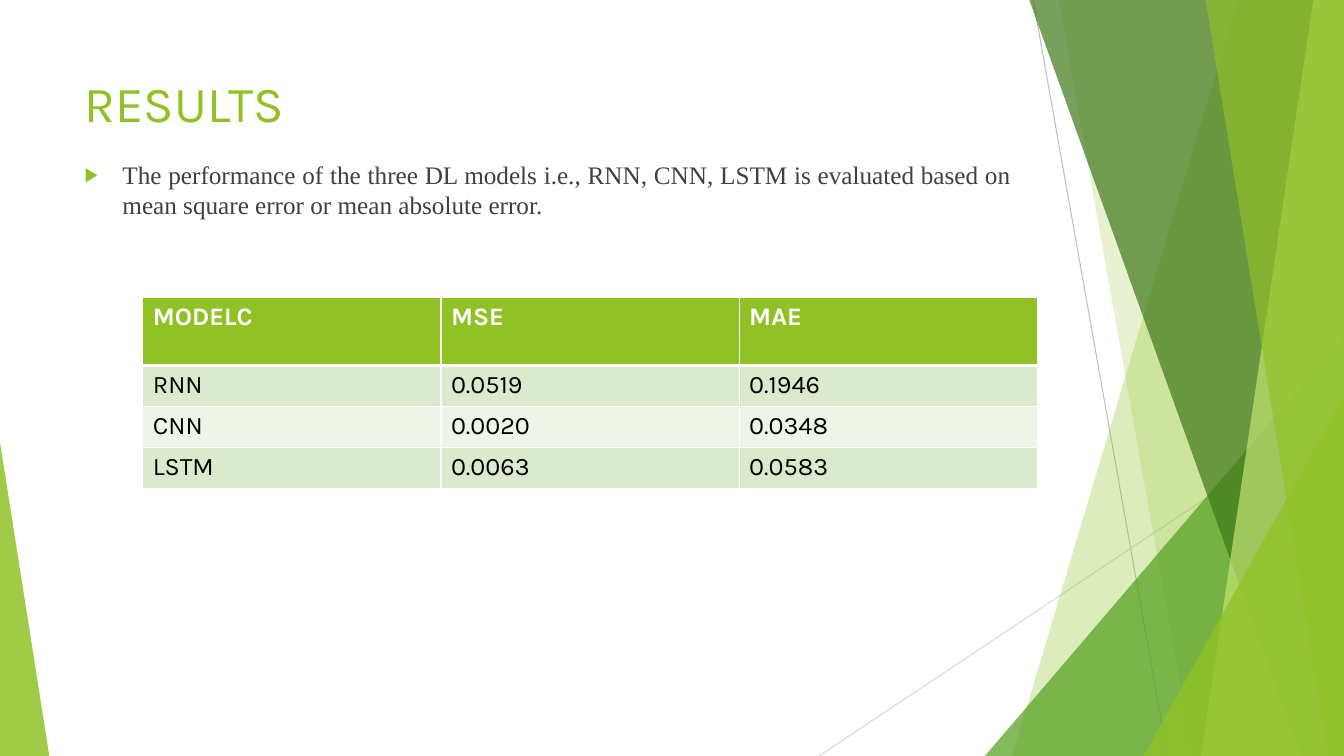
from dataclasses import dataclass

from lxml.etree import SubElement
from pptx import Presentation
from pptx.dml.color import RGBColor
from pptx.enum.shapes import MSO_CONNECTOR as Connector, MSO_SHAPE as Preset
from pptx.enum.text import MSO_ANCHOR as Anchor, MSO_AUTO_SIZE as AutoSize, PP_ALIGN as Align
from pptx.oxml.ns import qn
from pptx.shapes.base import BaseShape
from pptx.slide import Slide
from pptx.table import _Cell as Cell
from pptx.text.text import TextFrame
from pptx.util import Emu, Pt

PX = 9525
WIDTH, HEIGHT = 1280, 720
COLORS = {
    "lime": "90C226", "pale_lime": "C0E474", "green": "54A021", "forest": "3F7819",
    "white": "FFFFFF", "black": "000000", "text": "404040",
    "band_dark": "DBE9CD", "band_light": "EEF4E8",
    "line_dark": "BFBFBF", "line_light": "D9D9D9",
}


@dataclass(frozen=True)
class Ray:
    start: tuple[int, int]
    end: tuple[int, int]
    color: str


@dataclass(frozen=True)
class Panel:
    top_left: int
    bottom_left: int
    color: str
    opacity: int


@dataclass(frozen=True)
class Wedge:
    left: int
    top: int
    width: int
    apex: int
    color: str
    opacity: int


RAYS = [
    Ray((984, 0), (1112, HEIGHT), "line_dark"),
    Ray((WIDTH, 387), (780, HEIGHT), "line_light"),
]
FACETS = [
    Panel(1179, 964, "lime", 30),
    Panel(1008, 1136, "lime", 20),
    Wedge(938, 320, 342, 1, "green", 72),
    Panel(980, 1239, "forest", 70),
    Panel(1251, 1144, "pale_lime", 70),
    Panel(1148, 1265, "lime", 65),
    Wedge(1089, 377, 191, 1, "lime", 80),
    Wedge(0, 421, 47, 0, "lime", 85),
]
RESULTS = [
    ("MODELC", "MSE", "MAE"),
    ("RNN", "0.0519", "0.1946"),
    ("CNN", "0.0020", "0.0348"),
    ("LSTM", "0.0063", "0.0583"),
]
TABLE_LEFT, TABLE_TOP = 136, 283
COLUMN_WIDTH, HEADER_HEIGHT, ROW_HEIGHT = 284, 65, 39


def px(value: int) -> Emu:
    return Emu(value * PX)


def rgb(name: str) -> RGBColor:
    return RGBColor.from_string(COLORS[name])


def write(frame: TextFrame, text: str, *, size: int = 18, font: str = "Karla",
          color: str = "black", bold: bool = False, align: Align = Align.LEFT) -> None:
    paragraph = frame.paragraphs[0]
    paragraph.alignment = align
    run = paragraph.add_run()
    run.text = text
    run.font.size = Pt(size)
    run.font.name = font
    run.font.bold = bold
    run.font.color.rgb = rgb(color)


def paint(shape: BaseShape, color: str, opacity: int) -> None:
    shape.shadow.inherit = False
    shape.line.fill.background()
    shape.fill.solid()
    shape.fill.fore_color.rgb = rgb(color)
    fill_color = shape._element.spPr.find(f"{qn('a:solidFill')}/{qn('a:srgbClr')}")
    SubElement(fill_color, qn("a:alpha"), val=str(opacity * 1000))


def draw_ray(slide: Slide, ray: Ray) -> None:
    connector = slide.shapes.add_connector(
        Connector.STRAIGHT, *map(px, ray.start), *map(px, ray.end))
    connector.line.color.rgb = rgb(ray.color)
    connector.line.width = Pt(0.75)
    SubElement(connector._element.spPr, qn("a:effectLst"))


def draw_facet(slide: Slide, facet: Panel | Wedge) -> None:
    if isinstance(facet, Panel):
        builder = slide.shapes.build_freeform(facet.top_left, -1, scale=PX)
        builder.add_line_segments(
            [(WIDTH, -1), (WIDTH, HEIGHT), (facet.bottom_left, HEIGHT)], close=True)
        shape = builder.convert_to_shape()
    else:
        shape = slide.shapes.add_shape(
            Preset.ISOSCELES_TRIANGLE, px(facet.left), px(facet.top),
            px(facet.width), px(HEIGHT - facet.top))
        shape.adjustments[0] = facet.apex
    paint(shape, facet.color, facet.opacity)


def place(slide: Slide, shape: BaseShape, left: int, top: int,
          width: int, height: int) -> TextFrame:
    shape.left, shape.top = px(left), px(top)
    shape.width, shape.height = px(width), px(height)
    slide.shapes._spTree.append(shape._element)
    frame = shape.text_frame
    frame.word_wrap = True
    frame.auto_size = AutoSize.NONE
    frame.vertical_anchor = Anchor.TOP
    return frame


def add_bullet(frame: TextFrame) -> None:
    paragraph = frame.paragraphs[0]
    paragraph.space_before = Pt(10)
    properties = paragraph._p.get_or_add_pPr()
    properties.set("marL", str(px(36)))
    properties.set("indent", str(px(-36)))
    bullet_color = SubElement(properties, qn("a:buClr"))
    SubElement(bullet_color, qn("a:srgbClr"), val=COLORS["lime"])
    SubElement(properties, qn("a:buSzPct"), val="80000")
    SubElement(properties, qn("a:buChar"), char="▶")


def add_borders(cell: Cell, bottom: int, top: int) -> None:
    properties = cell._tc.get_or_add_tcPr()
    for side, points in (("L", 1), ("R", 1), ("T", top), ("B", bottom)):
        border = SubElement(properties, qn(f"a:ln{side}"), w=str(Pt(points)))
        fill = SubElement(border, qn("a:solidFill"))
        SubElement(fill, qn("a:srgbClr"), val=COLORS["white"])


def draw_results(slide: Slide) -> None:
    rows, columns = len(RESULTS), len(RESULTS[0])
    table = slide.shapes.add_table(
        rows, columns, px(TABLE_LEFT), px(TABLE_TOP), px(columns * COLUMN_WIDTH),
        px(HEADER_HEIGHT + (rows - 1) * ROW_HEIGHT)).table
    for column in table.columns:
        column.width = px(COLUMN_WIDTH)
    for row, values in enumerate(RESULTS):
        header = row == 0
        table.rows[row].height = px(HEADER_HEIGHT if header else ROW_HEIGHT)
        band = "lime" if header else "band_dark" if row % 2 else "band_light"
        for column, value in enumerate(values):
            cell = table.cell(row, column)
            add_borders(cell, bottom=3 if header else 1, top=3 if row == 1 else 1)
            cell.fill.solid()
            cell.fill.fore_color.rgb = rgb(band)
            write(cell.text_frame, value, bold=header, color="white" if header else "black")


def main() -> None:
    presentation = Presentation()
    presentation.slide_width, presentation.slide_height = px(WIDTH), px(HEIGHT)
    slide = presentation.slides.add_slide(presentation.slide_layouts[1])
    for ray in RAYS:
        draw_ray(slide, ray)
    for facet in FACETS:
        draw_facet(slide, facet)
    title = place(slide, slide.shapes.title, 71, 64, 902, 93)
    write(title, "RESULTS", size=36, color="lime")
    body = place(slide, slide.placeholders[1], 71, 147, 902, 488)
    write(body, "The performance of the three DL models i.e., RNN, CNN, LSTM is evaluated "
          "based on mean square error or mean absolute error.",
          font="Times New Roman", color="text", align=Align.JUSTIFY)
    add_bullet(body)
    draw_results(slide)
    presentation.save("out.pptx")


if __name__ == "__main__":
    main()
